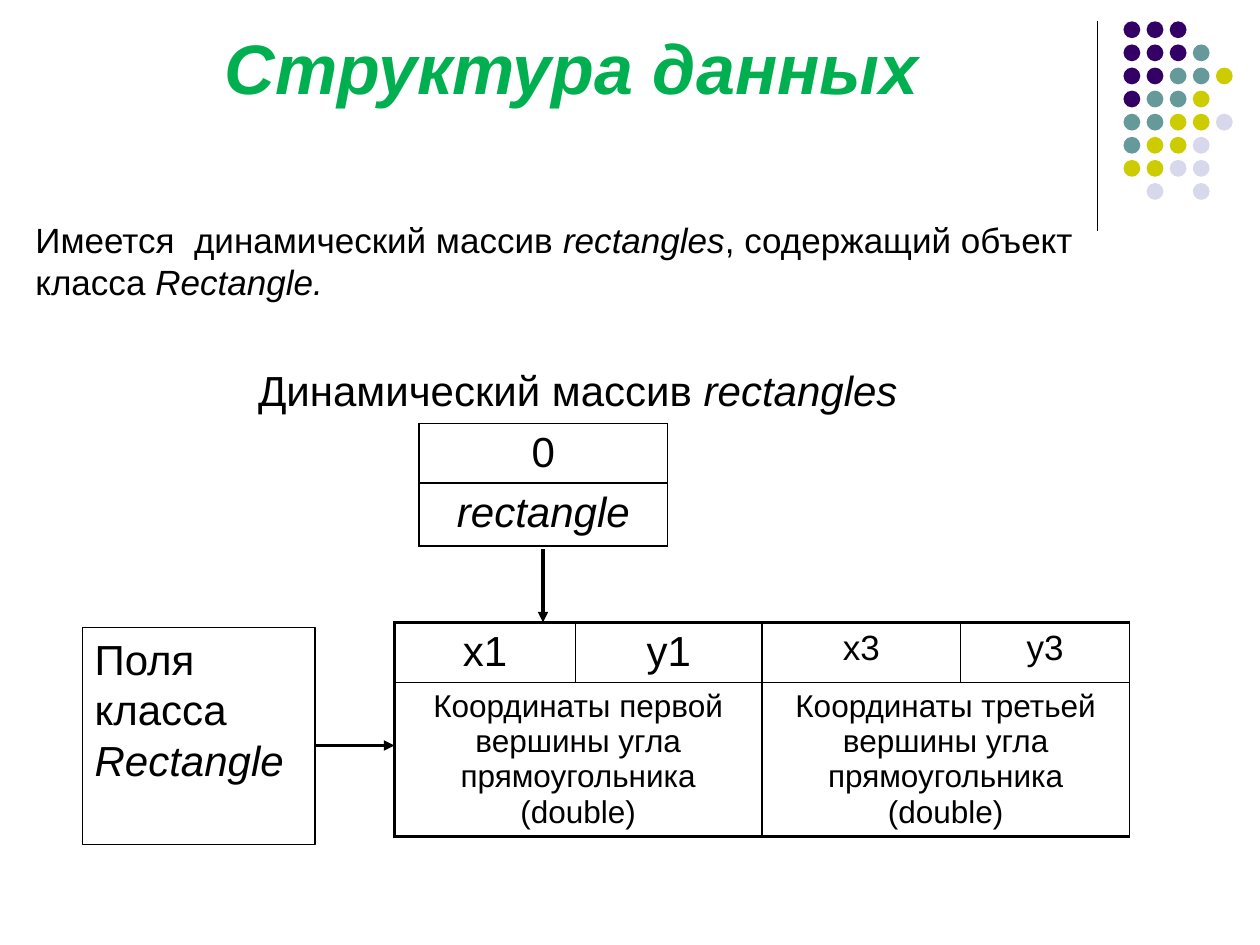
from lxml.etree import SubElement
from pptx import Presentation
from pptx.dml.color import RGBColor
from pptx.enum.shapes import MSO_CONNECTOR as Connector, MSO_SHAPE as Shape
from pptx.enum.text import MSO_ANCHOR as Anchor, PP_ALIGN as Align
from pptx.oxml import parse_xml
from pptx.oxml.ns import nsdecls, qn
from pptx.util import Pt

FONT = "Arial"
COLORS = {"text": "000000", "title": "00B050", "P": "330066",
          "T": "669999", "Y": "CCCC00", "L": "D8D8EC"}

# Runs are (text, italic) pairs.
TITLE = [("Структура данных", True)]
INTRO = [("Имеется  динамический массив ", False), ("rectangles", True),
         (", содержащий объект класса ", False), ("Rectangle.", True)]
ARRAY_CAPTION = [("Динамический массив ", False), ("rectangles", True)]
FIELDS_LABEL = [("Поля класса ", False), ("Rectangle", True)]

# Cells are (text, size, italic); None continues the cell to its left.
ARRAY_ROWS = [[("0", 24, False)], [("rectangle", 24, True)]]
CORNER = "Координаты {} вершины угла прямоугольника (double)"
FIELD_ROWS = [
    [("x1", 24, False), ("y1", 24, False), ("x3", 20, False), ("y3", 20, False)],
    [(CORNER.format("первой"), 18, False), None,
     (CORNER.format("третьей"), 18, False), None],
]

# Each letter is a dot colour, each space a gap.
DOTS = ["PPP", "PPPT", "PPTTY", "PTTY", "TTYYL", "TYYL", "YYLL", " L L"]
DOT_LEFT, DOT_TOP, DOT_SIZE, DOT_STEP = 642, 12.2, 9.6, 13.2

# Lines are (start, end, width, has arrowhead).
LINES = [((627, 12), (627, 132), 0.75, False),
         ((310.3, 314), (310.3, 355.7), 2, True),
         ((180, 426), (225.4, 426), 2, True)]


def color(name):
    """Return the named colour."""
    return RGBColor.from_string(COLORS[name])


def write(text_frame, runs, size, align=Align.LEFT, name="text", bold=False):
    """Fill a text frame with one paragraph of formatted runs."""
    paragraph = text_frame.paragraphs[0]
    paragraph.alignment = align
    for text, italic in runs:
        run = paragraph.add_run()
        run.text = text
        font = run.font
        font.name, font.size = FONT, Pt(size)
        font.bold, font.italic = bold, italic
        font.color.rgb = color(name)
    return paragraph


def place(shape, left, top, width, height):
    """Move and size a shape, in points."""
    shape.left, shape.top = Pt(left), Pt(top)
    shape.width, shape.height = Pt(width), Pt(height)


def add_line(slide, start, end, width, arrow):
    """Draw a straight line, with an arrowhead at its end if asked."""
    line = slide.shapes.add_connector(
        Connector.STRAIGHT, *(Pt(value) for value in start + end))
    line.line.color.rgb = color("text")
    line.line.width = Pt(width)
    if arrow:
        SubElement(line.line._get_or_add_ln(), qn("a:tailEnd"), type="triangle")
    SubElement(line._element.spPr, qn("a:effectLst"))


def add_dots(slide):
    """Draw the grid of coloured dots."""
    for row, letters in enumerate(DOTS):
        for column, letter in enumerate(letters):
            if letter == " ":
                continue
            dot = slide.shapes.add_shape(
                Shape.OVAL, Pt(DOT_LEFT + column * DOT_STEP),
                Pt(DOT_TOP + row * DOT_STEP), Pt(DOT_SIZE), Pt(DOT_SIZE))
            dot.shadow.inherit = False
            dot.fill.solid()
            dot.fill.fore_color.rgb = color(letter)
            dot.line.fill.background()


def set_borders(cell, widths):
    """Give a cell its left, right, top and bottom borders."""
    properties = cell._tc.get_or_add_tcPr()
    for index, (side, width) in enumerate(zip("LRTB", widths)):
        properties.insert(index, parse_xml(
            f'<a:ln{side} {nsdecls("a")} w="{Pt(width)}"><a:solidFill>'
            f'<a:srgbClr val="{COLORS["text"]}"/></a:solidFill></a:ln{side}>'))


def add_grid(slide, left, top, widths, heights, rows, outer=1):
    """Add a plain table whose left, top and bottom edges are outer wide."""
    table = slide.shapes.add_table(
        len(rows), len(widths), Pt(left), Pt(top),
        Pt(sum(widths)), Pt(sum(heights))).table
    table.first_row = table.horz_banding = False
    for column, width in zip(table.columns, widths):
        column.width = Pt(width)
    for r, (row, height) in enumerate(zip(rows, heights)):
        table.rows[r].height = Pt(height)
        for c, content in enumerate(row):
            cell = table.cell(r, c)
            cell.fill.background()
            set_borders(cell, (outer if c == 0 else 1, 1,
                               outer if r == 0 else 1,
                               outer if r == len(rows) - 1 else 1))
            if content is None:
                table.cell(r, c - 1).merge(cell)
                continue
            text, size, italic = content
            paragraph = write(cell.text_frame, [(text, italic)], size, Align.CENTER)
            paragraph.space_before = Pt(size * 0.2)


presentation = Presentation()
presentation.slide_width, presentation.slide_height = Pt(720), Pt(540)
slide = presentation.slides.add_slide(presentation.slide_layouts[1])

title, body = slide.placeholders
place(title, 29.5, 11.5, 594, 54)
title.text_frame.vertical_anchor = Anchor.BOTTOM
write(title.text_frame, TITLE, 40, Align.CENTER, "title", bold=True)

place(body, 13, 121, 610.5, 60)
intro = write(body.text_frame, INTRO, 20)
intro.space_before = Pt(4)
intro_properties = intro._p.get_or_add_pPr()
intro_properties.set("marL", "0")
intro_properties.set("indent", "0")
SubElement(intro_properties, qn("a:buNone"))

add_dots(slide)
add_grid(slide, 239.5, 242, [142], [34, 36], ARRAY_ROWS)
add_grid(slide, 225.4, 355.7, [103.5, 106.5, 113.5, 96.5], [34.3, 87.5],
         FIELD_ROWS, outer=2.25)
for line in LINES:
    add_line(slide, *line)

fields = slide.shapes.add_shape(Shape.RECTANGLE, Pt(47), Pt(358.5), Pt(133), Pt(124))
fields.shadow.inherit = False
fields.fill.background()
fields.line.color.rgb = color("text")
fields.line.width = Pt(0.75)
fields.text_frame.word_wrap = True
fields.text_frame.vertical_anchor = Anchor.TOP
write(fields.text_frame, FIELDS_LABEL, 24)

caption = slide.shapes.add_textbox(Pt(140.4), Pt(204.5), Pt(384.5), Pt(36))
caption.text_frame.word_wrap = True
write(caption.text_frame, ARRAY_CAPTION, 24)

presentation.save("out.pptx")
